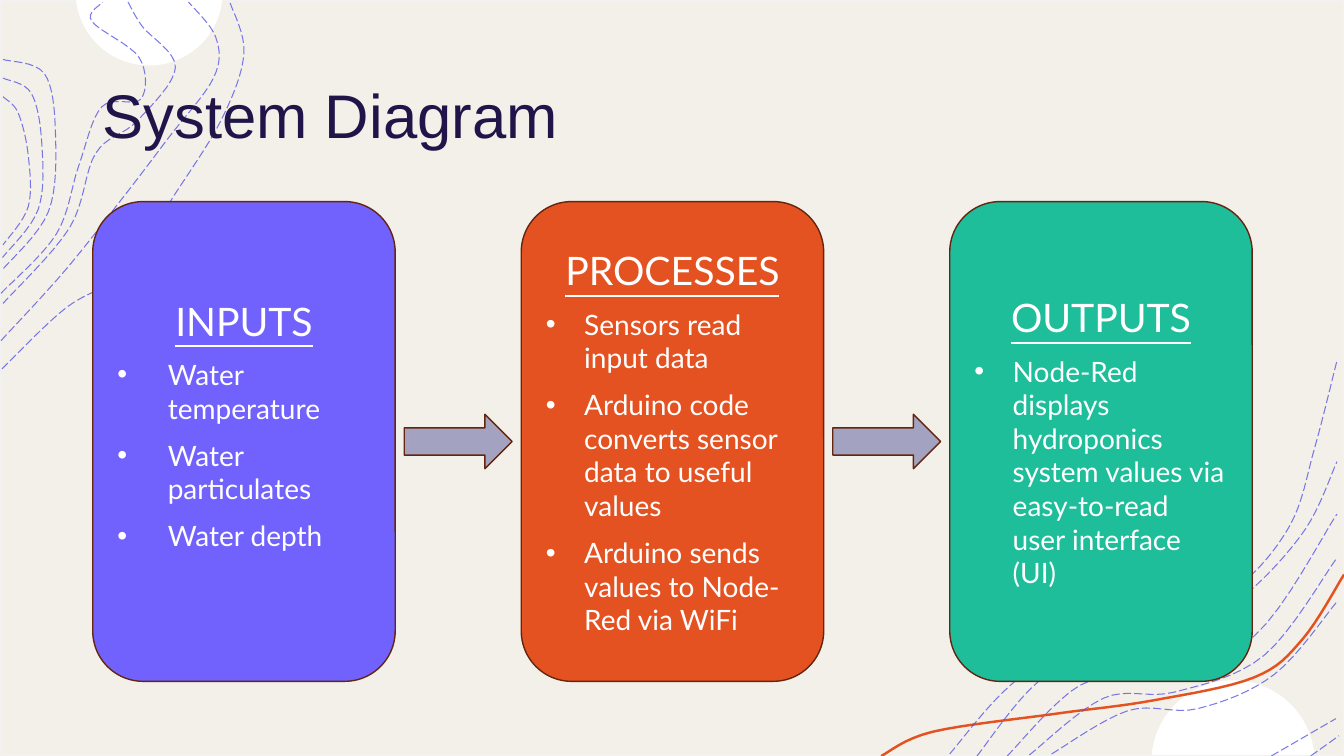
from dataclasses import dataclass
from math import acos, cos, sin

from lxml import etree
from pptx import Presentation
from pptx.dml.color import RGBColor
from pptx.enum.dml import MSO_LINE
from pptx.enum.shapes import MSO_SHAPE
from pptx.enum.text import MSO_ANCHOR, PP_ALIGN
from pptx.oxml.ns import qn
from pptx.util import Inches, Pt

RECTANGLE, ROUNDED, ARROW = MSO_SHAPE.RECTANGLE, MSO_SHAPE.ROUNDED_RECTANGLE, MSO_SHAPE.RIGHT_ARROW
LEFT, CENTER, MIDDLE = PP_ALIGN.LEFT, PP_ALIGN.CENTER, MSO_ANCHOR.MIDDLE
LONG_DASH = MSO_LINE.LONG_DASH
Points = list[tuple[float, float]]


@dataclass(frozen=True)
class Theme:
    paper: str = "F3F0E9"
    paper_edge: str = "F2F2F2"
    white: str = "FFFFFF"
    title: str = "201449"
    contour: str = "4D4EE6"
    violet: str = "7162FE"
    orange: str = "E45221"
    green: str = "1EBE9B"
    arrow: str = "A3A3C1"
    outline: str = "64240E"
    title_font: str = "Arial"
    body_font: str = "Lato"
    title_size: float = 44
    heading_size: float = 28
    body_size: float = 20
    gap: float = 9.6
    contour_width: float = 0.75
    ribbon_width: float = 1.75


@dataclass(frozen=True)
class Stage:
    heading: str
    color: str
    items: tuple[str, ...]
    indent: float = 0.38
    bottom_inset: float = 0.05


@dataclass(frozen=True)
class Moon:
    center_x: float
    edge_y: float
    radius: float
    beyond_edge: float
    direction: int


@dataclass(frozen=True)
class Band:
    outer: Points
    inner: Points


THEME = Theme()
SLIDE_WIDTH, SLIDE_HEIGHT = 13.33, 7.5
STAGE_LEFT, STAGE_TOP, STAGE_WIDTH, STAGE_HEIGHT, STAGE_PITCH = 0.92, 2, 3, 4.76, 4.25
ARROW_WIDTH, ARROW_HEIGHT = 1.07, 0.54

STAGES = (
    Stage("INPUTS", THEME.violet, ("Water temperature", "Water particulates", "Water depth"), 0.5, 0.38),
    Stage("PROCESSES", THEME.orange, (
        "Sensors read input data",
        "Arduino code converts sensor data to useful values",
        "Arduino sends values to Node-Red via WiFi")),
    Stage("OUTPUTS", THEME.green, (
        "Node-Red displays hydroponics system values via easy-to-read user interface (UI)",)),
)
MOONS = (Moon(1.48, 0, 0.73, 0.08, 1), Moon(12.23, 7.49, 0.81, 0.07, -1))

RIBBON = [(8.74, 7.5), (9.25, 7.26), (10.48, 7.08), (11.43, 6.95), (12.44, 6.72), (12.92, 6.34), (13.33, 5.7)]
CONTOURS = (
    [(0.02, 3.66), (0.66, 3.05), (1.27, 2.69), (1.67, 2.03), (2.19, 1.2), (2.42, 0.53), (2.28, 0.02)],
    [(0.01, 3.38), (0.64, 2.69), (1.22, 1.96), (1.67, 1.37), (2.12, 0.77), (2.14, 0.37), (1.87, 0.02)],
    [(1.27, 0.02), (1.41, 0.26), (1.74, 0.67), (1.36, 1.2), (0.95, 1.52), (0.69, 2.26), (0.03, 3.01)],
    [(0.01, 2.91), (0.56, 2.32), (0.78, 1.65), (1.01, 1.06), (1.4, 0.98), (1.38, 0.57), (0.91, 0.21), (1.02, 0.02)],
    [(9.42, 7.48), (10.02, 6.8), (10.78, 6.3), (11.37, 6.29), (12.24, 5.85), (12.79, 5.22), (13.04, 4.44),
     (13.26, 3.58)],
    [(9.69, 7.5), (10.29, 6.77), (11.03, 6.38), (11.64, 6.33), (12.33, 5.92), (12.94, 5.26), (13.26, 4.58)],
    [(13, 7.5), (13.28, 7.3)],
    [(12.61, 7.5), (13.25, 7.13)],
)
BANDS = (
    Band([(0.03, 0.59), (0.44, 0.73), (0.55, 1.32), (0.48, 2.1), (0.02, 2.68)],
         [(0.03, 0.96), (0.18, 1.12), (0.28, 1.54), (0.28, 2.05), (0.03, 2.43)]),
    Band([(9.99, 7.5), (10.71, 6.8), (11.43, 6.7), (12.44, 6.31), (13.26, 5.1)],
         [(10.43, 7.48), (11.19, 7.05), (11.88, 7.03), (12.64, 6.69), (13.26, 5.97)]),
)


def smooth(knots: Points, steps: int = 8) -> Points:
    padded = [knots[0], *knots, knots[-1]]
    curve = [knots[0]]
    for before, start, end, after in zip(padded, padded[1:], padded[2:], padded[3:]):
        for step in range(1, steps + 1):
            t = step / steps
            curve.append(tuple(
                b + ((c - a) * t + (2 * a - 5 * b + 4 * c - d) * t**2 + (3 * b - a - 3 * c + d) * t**3) / 2
                for a, b, c, d in zip(before, start, end, after)))
    return curve


def band_contours(band: Band) -> list[Points]:
    middle = [((x1 + x2) / 2, (y1 + y2) / 2) for (x1, y1), (x2, y2) in zip(band.outer, band.inner)]
    return [band.outer, middle, band.inner]


def moon_outline(moon: Moon, steps: int = 48) -> Points:
    half_angle = acos(moon.beyond_edge / moon.radius)
    angles = [half_angle * (2 * step / steps - 1) for step in range(steps + 1)]
    return [(moon.center_x + moon.radius * sin(angle),
             moon.edge_y + moon.direction * (moon.radius * cos(angle) - moon.beyond_edge)) for angle in angles]


def style(shape, fill: str | None = None, line: str | None = None, width: float = 1) -> None:
    shape.shadow.inherit = False
    for part, color in ((shape.fill, fill), (shape.line.fill, line)):
        if color is None:
            part.background()
        else:
            part.solid()
            part.fore_color.rgb = RGBColor.from_string(color)
    if line:
        shape.line.width = Pt(width)


def add_outline(slide, points: Points, closed: bool = True):
    corners = [(Inches(x), Inches(y)) for x, y in points]
    builder = slide.shapes.build_freeform(*corners[0])
    builder.add_line_segments(corners[1:], close=closed)
    return builder.convert_to_shape()


def add_contour(slide, knots: Points) -> None:
    contour = add_outline(slide, smooth(knots), closed=False)
    style(contour, line=THEME.contour, width=THEME.contour_width)
    contour.line.dash_style = LONG_DASH
    color = next(contour._element.iter(qn("a:srgbClr")))
    etree.SubElement(color, qn("a:alpha"), val="75000")


def add_block(slide, kind, left: float, top: float, width: float, height: float, fill: str, line: str):
    block = slide.shapes.add_shape(kind, Inches(left), Inches(top), Inches(width), Inches(height))
    style(block, fill, line)
    return block


def write(frame, text: str, *, size: float, color: str = THEME.white, font: str = THEME.body_font,
          align=LEFT, underline: bool = False, indent: float = 0, space_before: float = 0) -> None:
    first = frame.paragraphs[0]
    paragraph = frame.add_paragraph() if first.runs else first
    paragraph.alignment = align
    if indent:
        properties = paragraph._p.get_or_add_pPr()
        properties.set("marL", str(Inches(indent)))
        properties.set("indent", str(-Inches(indent)))
        etree.SubElement(properties, qn("a:buFont"), typeface="Arial")
        etree.SubElement(properties, qn("a:buChar"), char="•")
    if space_before:
        paragraph.space_before = Pt(space_before)
    run = paragraph.add_run()
    run.text = text
    run.font.name, run.font.size, run.font.underline = font, Pt(size), underline
    run.font.color.rgb = RGBColor.from_string(color)


def add_stage(slide, stage: Stage, left: float) -> None:
    panel = add_block(slide, ROUNDED, left, STAGE_TOP, STAGE_WIDTH, STAGE_HEIGHT, stage.color, THEME.outline)
    frame = panel.text_frame
    frame.word_wrap, frame.vertical_anchor = True, MIDDLE
    frame.margin_bottom = Inches(stage.bottom_inset)
    write(frame, stage.heading, size=THEME.heading_size, align=CENTER, underline=True)
    for item in stage.items:
        write(frame, item, size=THEME.body_size, indent=stage.indent, space_before=THEME.gap)


def main() -> None:
    deck = Presentation()
    deck.slide_width, deck.slide_height = Inches(SLIDE_WIDTH), Inches(SLIDE_HEIGHT)
    slide = deck.slides.add_slide(deck.slide_layouts[6])
    add_block(slide, RECTANGLE, 0, 0, SLIDE_WIDTH, SLIDE_HEIGHT, THEME.paper, THEME.paper_edge)
    for moon in MOONS:
        style(add_outline(slide, moon_outline(moon)), THEME.white)
    style(add_outline(slide, smooth(RIBBON), closed=False), line=THEME.orange, width=THEME.ribbon_width)
    for knots in [*CONTOURS, *(knots for band in BANDS for knots in band_contours(band))]:
        add_contour(slide, knots)

    title = slide.shapes.add_textbox(Inches(0.92), Inches(0.4), Inches(11.5), Inches(1.45)).text_frame
    title.word_wrap, title.vertical_anchor = True, MIDDLE
    write(title, "System Diagram", size=THEME.title_size, color=THEME.title, font=THEME.title_font)

    arrow_offset = (STAGE_WIDTH + STAGE_PITCH - ARROW_WIDTH) / 2
    arrow_top = STAGE_TOP + (STAGE_HEIGHT - ARROW_HEIGHT) / 2
    for index, stage in enumerate(STAGES):
        left = STAGE_LEFT + index * STAGE_PITCH
        add_stage(slide, stage, left)
        if index < len(STAGES) - 1:
            add_block(slide, ARROW, left + arrow_offset, arrow_top, ARROW_WIDTH, ARROW_HEIGHT,
                      THEME.arrow, THEME.outline)
    deck.save("out.pptx")


if __name__ == "__main__":
    main()
